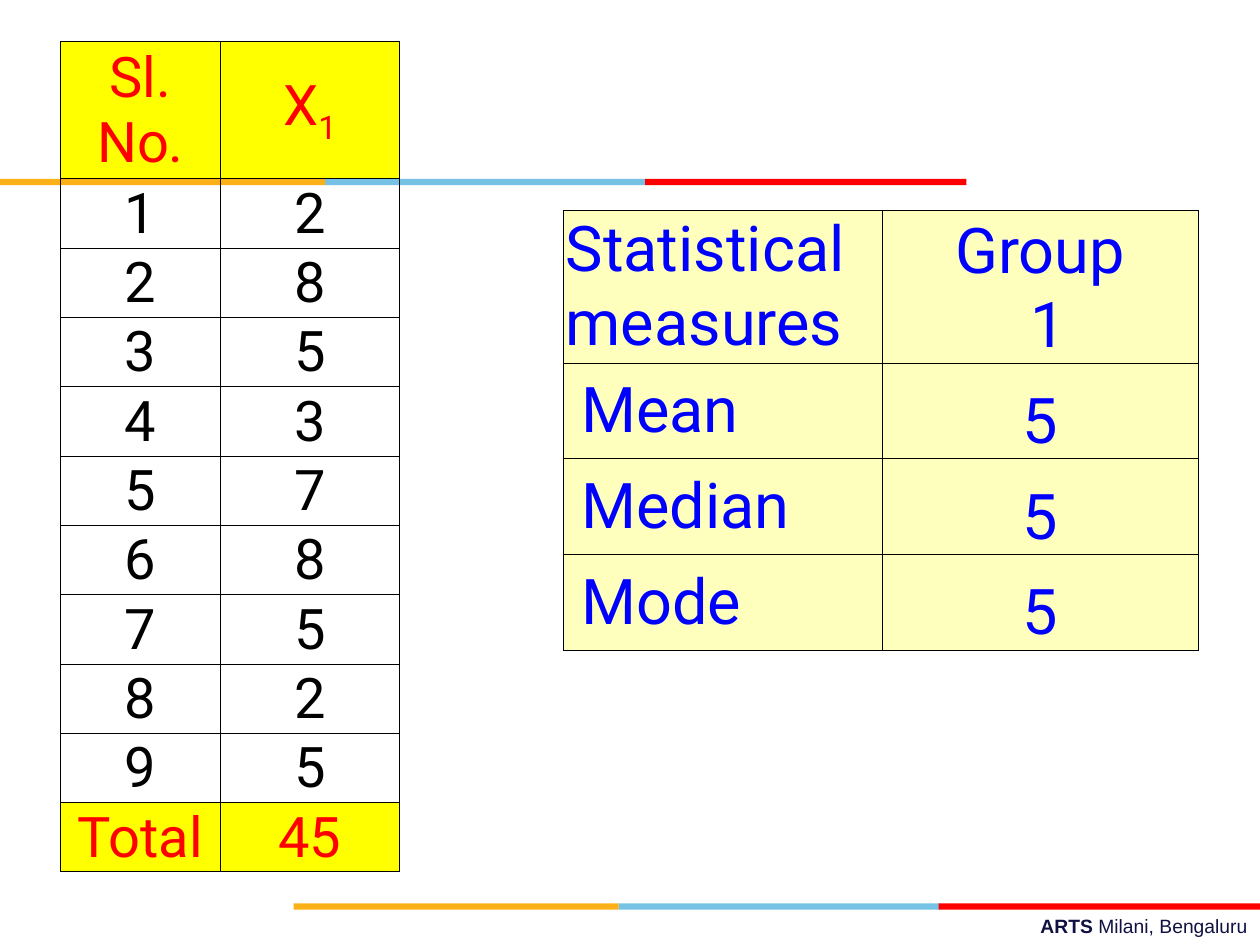
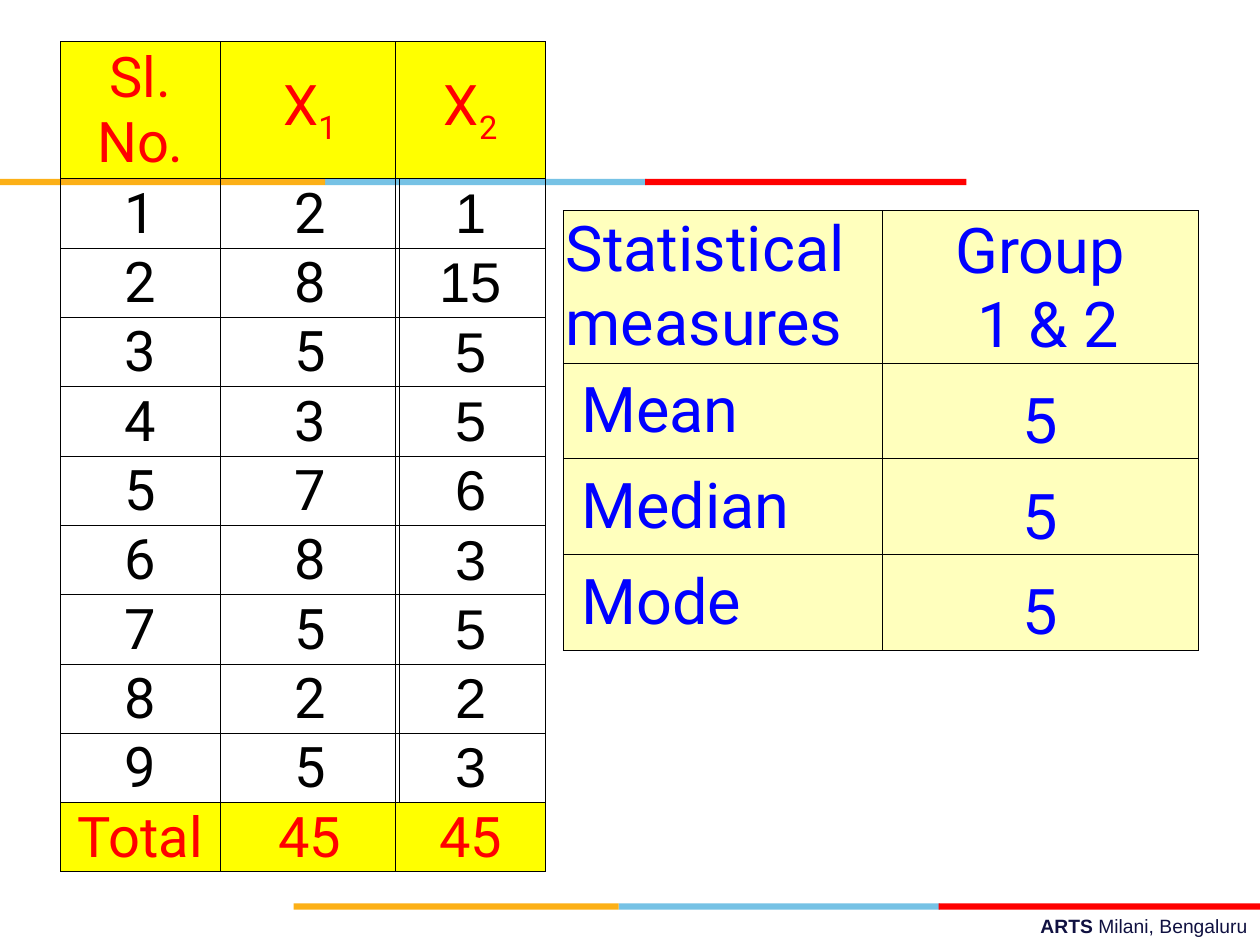
"""Build two slides that compare statistical measures of number groups."""
import pptx
import pptx.dml.color
import pptx.enum.shapes
import pptx.enum.text
import pptx.oxml
import pptx.oxml.ns
import pptx.util

Inches = pptx.util.Inches
Pt = pptx.util.Pt
RGB = pptx.dml.color.RGBColor.from_string
ALIGN = pptx.enum.text.PP_ALIGN
ANCHOR = pptx.enum.text.MSO_ANCHOR
HUES = {"gold": "FCB017", "sky": "76C2E5", "red": "FF0000", "navy": "101141",
        "blue": "0000FF", "black": "000000", "yellow": "FFFF00", "cream": "FFFFBD"}
WIDE, HIGH = 10, 7.5
LEFT, TOP = 0.48, 0.33
ROWS = [1.09] + [0.55] * 10


def put(frame, text, size=32, font="Roboto", hue="black", bold=False,
        align=ALIGN.CENTER, tail=None):
    """Write one paragraph per line; a run after "|" gets the tail attributes."""
    for n, line in enumerate(text.split("\n")):
        para = frame.paragraphs[0] if n == 0 else frame.add_paragraph()
        para.alignment = align
        for k, part in enumerate(line.split("|")):
            run = para.add_run()
            run.text = part
            run.font.size = Pt(size)
            run.font.name = font
            run.font.bold = bold
            run.font.color.rgb = RGB(HUES[hue])
            if k:
                for key, value in tail.items():
                    run.font._element.set(key, value)


def grid(slide, left, top, cols, rows, style):
    """Add a ruled table; style(row, col) gives text, fill, anchor, inset, format."""
    frame = slide.shapes.add_table(len(rows), len(cols), Inches(left), Inches(top),
                                   Inches(sum(cols)), Inches(sum(rows)))
    table = frame.table
    table.first_row = table.horz_banding = False
    for c, width in enumerate(cols):
        table.columns[c].width = Inches(width)
    for r, height in enumerate(rows):
        table.rows[r].height = Inches(height)
        for c in range(len(cols)):
            text, fill, anchor, inset, look = style(r, c)
            cell = table.cell(r, c)
            cell.margin_left = cell.margin_right = Inches(inset)
            cell.margin_top, cell.margin_bottom = Inches(0.01), 0
            cell.vertical_anchor = anchor
            if fill:
                cell.fill.solid()
                cell.fill.fore_color.rgb = RGB(HUES[fill])
            else:
                cell.fill.background()
            for n, side in enumerate("LRTB"):
                rule = pptx.oxml.parse_xml(
                    f'<a:ln{side} {pptx.oxml.ns.nsdecls("a")} w="{Pt(0.5)}"><a:solidFill>'
                    f'<a:srgbClr val="{HUES["black"]}"/></a:solidFill></a:ln{side}>')
                cell._tc.get_or_add_tcPr().insert(n, rule)
            put(cell.text_frame, text, **look)


deck = pptx.Presentation()
deck.slide_width, deck.slide_height = Inches(WIDE), Inches(HIGH)

serial = ["Sl. No.", *map(str, range(1, 10)), "Total"]
first = ["X|1", *"285378525", "45"]
second = ["X|2", "1", "15", *"5563523", "45"]
pages = [
    ("1", [(LEFT, [1.27, 1.42], [serial, first], "Roboto", 0.02)]),
    ("1 & 2", [(LEFT, [1.27, 1.42], [serial, first], "Roboto", 0.02),
               (3.14, [1.19], [second], "Arial", 0.01)]),
]

for group, lists in pages:
    slide = deck.slides.add_slide(deck.slide_layouts[6])
    note = slide.shapes.add_textbox(Inches(3.58), Inches(7.21), Inches(6.42), Inches(0.29))
    note.text_frame.word_wrap = True
    put(note.text_frame, "ARTS |Milani, Bengaluru", size=11, font="Arial", hue="navy",
        bold=True, align=ALIGN.RIGHT, tail={"b": "0"})

    for start, top in [(2.33, 7.17), (0, 1.42)]:
        for hue, shift, width in [("sky", 2.58, 2.55), ("gold", 0, 2.58), ("red", 5.12, 2.55)]:
            band = slide.shapes.add_shape(
                pptx.enum.shapes.MSO_SHAPE.RECTANGLE, Inches(start + shift), Inches(top),
                Inches(width), Inches(0.05))
            band.shadow.inherit = False
            band.fill.solid()
            band.fill.fore_color.rgb = RGB(HUES[hue])
            band.line.fill.background()

    for left, cols, data, font, inset in lists:
        def count(r, c):
            if r in (0, len(ROWS) - 1):
                return data[c][r], "yellow", ANCHOR.MIDDLE, 0.02, {
                    "hue": "red", "tail": {"baseline": "-25000"}}
            return data[c][r], None, ANCHOR.MIDDLE, inset, {"font": font}
        grid(slide, left, TOP, cols, ROWS, count)

    facts = [("Statistical measures", f"Group\n {group}"),
             (" Mean", "5"), (" Median", "5"), (" Mode", "5")]

    def fact(r, c):
        anchor, align = [(ANCHOR.MIDDLE, ALIGN.LEFT), (ANCHOR.BOTTOM, ALIGN.CENTER)][c]
        return facts[r][c], "cream", anchor, 0.02, {"size": 36, "hue": "blue", "align": align}
    grid(slide, 4.47, 1.67, [2.53, 2.51], [1.18] + [0.76] * 3, fact)

deck.save("out.pptx")
